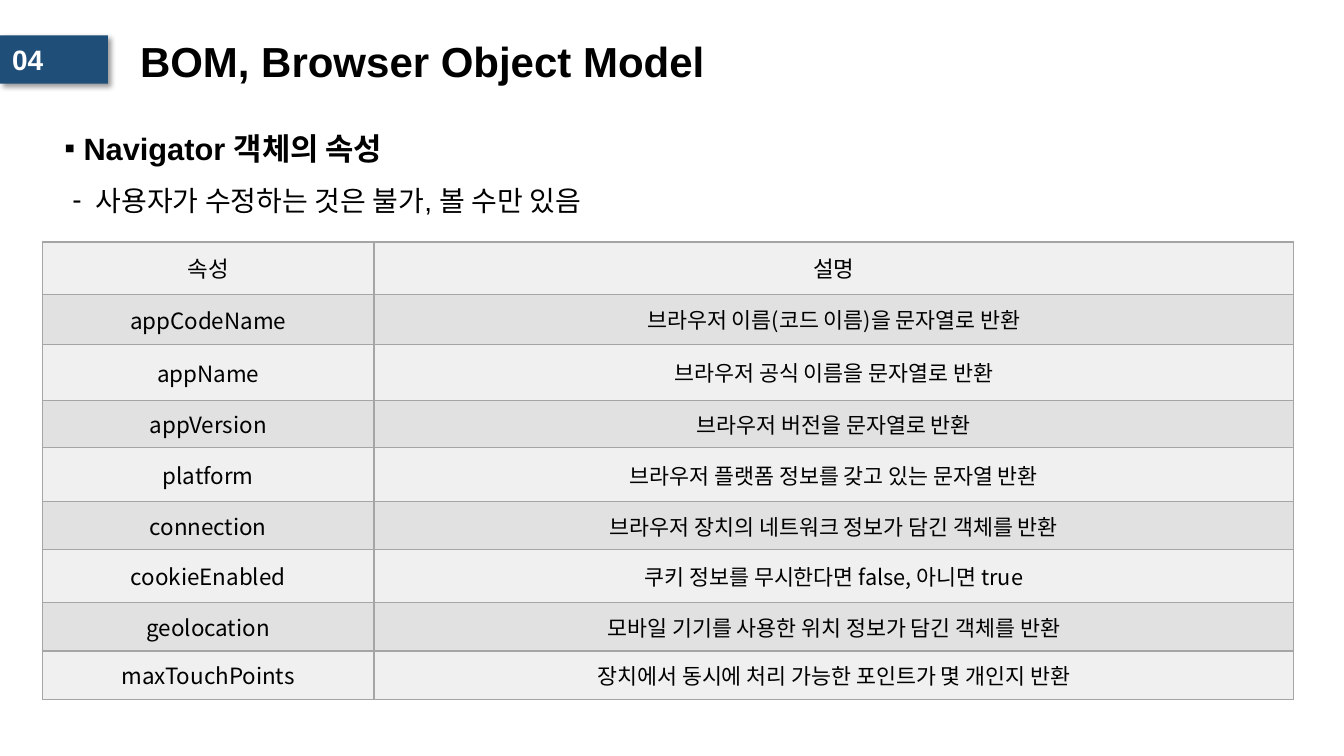
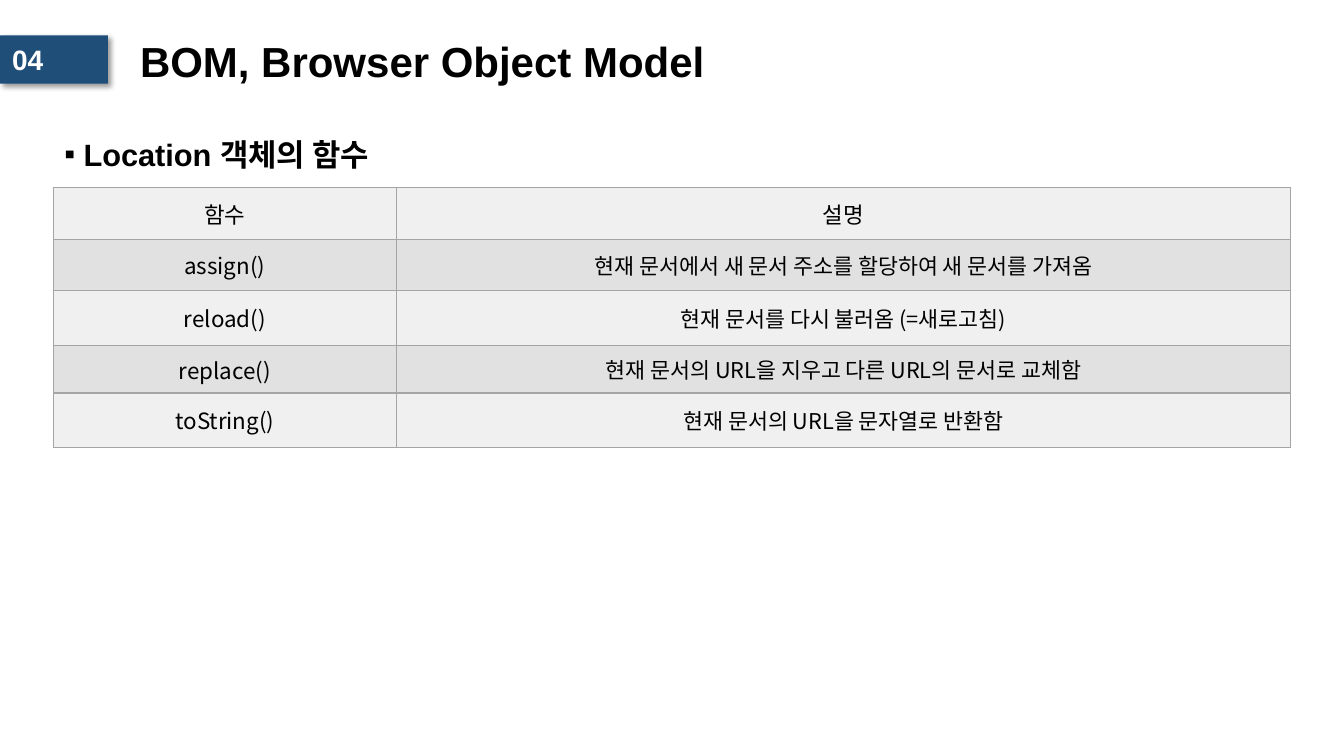
from dataclasses import dataclass

import lxml.etree
import pptx
import pptx.dml.color
import pptx.enum.shapes
import pptx.enum.text
import pptx.oxml
import pptx.oxml.ns
import pptx.util

Inches = pptx.util.Inches
Pt = pptx.util.Pt
qn = pptx.oxml.ns.qn
ALIGN = pptx.enum.text.PP_ALIGN
ANCHOR = pptx.enum.text.MSO_ANCHOR


@dataclass(frozen=True)
class Theme:
    latin_font: str = "Arial"
    korean_font: str = "Noto Sans CJK KR"
    ink: str = "000000"
    paper: str = "FFFFFF"
    badge: str = "1F4E79"
    border: str = "A5A5A5"
    row_fills: tuple = ("F0F0F0", "E1E1E1")
    title_size: float = 30
    heading_size: float = 22
    body_size: float = 20
    name_size: float = 16
    description_size: float = 15.5


CHAPTER_NUMBER = "04"
CHAPTER_TITLE = "BOM, Browser Object Model"
ROW_HEIGHTS = (0.52, 0.5, 0.55, 0.47, 0.54, 0.47, 0.53, 0.48, 0.48)

NAVIGATOR_PROPERTIES = [
    ("속성", "설명"),
    ("appCodeName", "브라우저 이름(코드 이름)을 문자열로 반환"),
    ("appName", "브라우저 공식 이름을 문자열로 반환"),
    ("appVersion", "브라우저 버전을 문자열로 반환"),
    ("platform", "브라우저 플랫폼 정보를 갖고 있는 문자열 반환"),
    ("connection", "브라우저 장치의 네트워크 정보가 담긴 객체를 반환"),
    ("cookieEnabled", "쿠키 정보를 무시한다면 false, 아니면 true"),
    ("geolocation", "모바일 기기를 사용한 위치 정보가 담긴 객체를 반환"),
    ("maxTouchPoints", "장치에서 동시에 처리 가능한 포인트가 몇 개인지 반환"),
]
LOCATION_METHODS = [
    ("함수", "설명"),
    ("assign()", "현재 문서에서 새 문서 주소를 할당하여 새 문서를 가져옴"),
    ("reload()", "현재 문서를 다시 불러옴 (=새로고침)"),
    ("replace()", "현재 문서의 URL을 지우고 다른 URL의 문서로 교체함"),
    ("toString()", "현재 문서의 URL을 문자열로 반환함"),
]


def rgb(value):
    return pptx.dml.color.RGBColor.from_string(value)


def add_element(parent, tag, **attributes):
    element = lxml.etree.SubElement(parent, qn(tag))
    for name, value in attributes.items():
        element.set(name, str(value))
    return element


class Deck:
    def __init__(self, theme):
        self.theme = theme
        self.presentation = pptx.Presentation()
        self.presentation.slide_width = Inches(13.33)
        self.presentation.slide_height = Inches(7.5)
        self.slide = None

    def add_slide(self):
        """Start a slide with the chapter title and number badge."""
        layout = self.presentation.slide_layouts[6]
        self.slide = self.presentation.slides.add_slide(layout)
        self.title(CHAPTER_TITLE)
        self.badge(CHAPTER_NUMBER)

    def run(self, paragraph, text, size, color=None, bold=False, font=None):
        run = paragraph.add_run()
        run.text = text
        run.font.size = Pt(size)
        run.font.bold = bold
        run.font.color.rgb = rgb(color or self.theme.ink)
        run.font.name = font or self.theme.latin_font
        add_element(run.font._element, "a:ea", typeface=self.theme.korean_font)

    def text_frame(self, left, top, width, height):
        box = self.slide.shapes.add_textbox(
            Inches(left), Inches(top), Inches(width), Inches(height))
        box.text_frame.word_wrap = True
        return box.text_frame

    def title(self, text):
        frame = self.text_frame(1.29, 0.29, 9.02, 0.69)
        frame.vertical_anchor = ANCHOR.MIDDLE
        paragraph = frame.paragraphs[0]
        paragraph.line_spacing = 0.9
        self.run(paragraph, text, self.theme.title_size, bold=True)

    def badge(self, number):
        shape = self.slide.shapes.add_shape(
            pptx.enum.shapes.MSO_SHAPE.RECTANGLE,
            Inches(0), Inches(0.35), Inches(1.07), Inches(0.48))
        shape.fill.solid()
        shape.fill.fore_color.rgb = rgb(self.theme.badge)
        shape.line.fill.background()
        self.drop_shadow(shape)
        frame = shape.text_frame
        frame.margin_left = Inches(0.12)
        frame.vertical_anchor = ANCHOR.MIDDLE
        paragraph = frame.paragraphs[0]
        paragraph.alignment = ALIGN.LEFT
        self.run(paragraph, number, self.theme.body_size, self.theme.paper, bold=True)

    def drop_shadow(self, shape):
        shape.shadow.inherit = False
        effects = shape._element.spPr.find(qn("a:effectLst"))
        shadow = add_element(effects, "a:outerShdw", blurRad=Pt(4), dist=Pt(3),
                             dir=45 * 60000, algn="tl", rotWithShape=0)
        color = add_element(shadow, "a:srgbClr", val=self.theme.ink)
        add_element(color, "a:alpha", val=40000)

    def heading(self, top, text, remark=None):
        """Write a bulleted heading with an optional dashed remark below it."""
        frame = self.text_frame(0.54, top, 12.14, 1.12 if remark else 0.61)
        paragraph = frame.paragraphs[0]
        paragraph.line_spacing = 1.5
        self.bullet(paragraph, "▪", 0.19, 0.19)
        self.run(paragraph, text, self.theme.heading_size, bold=True)
        if remark:
            paragraph = frame.add_paragraph()
            paragraph.line_spacing = 1.5
            self.bullet(paragraph, "-", 0.31, 0.23)
            self.run(paragraph, remark, self.theme.body_size)

    def bullet(self, paragraph, character, margin, hanging):
        properties = paragraph._p.get_or_add_pPr()
        properties.set("marL", str(Inches(margin)))
        properties.set("indent", str(-Inches(hanging)))
        add_element(properties, "a:buFont", typeface=self.theme.latin_font)
        add_element(properties, "a:buChar", char=character)

    def table(self, left, top, column_widths, rows):
        heights = ROW_HEIGHTS[:len(rows)]
        table = self.slide.shapes.add_table(
            len(rows), len(column_widths), Inches(left), Inches(top),
            Inches(sum(column_widths)), Inches(sum(heights))).table
        table.first_row = False
        table.horz_banding = False
        for column, width in zip(table.columns, column_widths):
            column.width = Inches(width)
        for row_index, (height, texts) in enumerate(zip(heights, rows)):
            table.rows[row_index].height = Inches(height)
            for column_index, text in enumerate(texts):
                is_description = row_index > 0 and column_index == 1
                size = (self.theme.description_size if is_description
                        else self.theme.name_size)
                self.cell(table.cell(row_index, column_index), text, size,
                          self.theme.row_fills[row_index % 2])

    def cell(self, cell, text, size, fill):
        cell.fill.solid()
        cell.fill.fore_color.rgb = rgb(fill)
        cell.vertical_anchor = ANCHOR.MIDDLE
        self.cell_borders(cell)
        paragraph = cell.text_frame.paragraphs[0]
        paragraph.alignment = ALIGN.CENTER
        self.run(paragraph, text, size, font=self.theme.korean_font)

    def cell_borders(self, cell):
        properties = cell._tc.get_or_add_tcPr()
        for index, side in enumerate(("a:lnL", "a:lnR", "a:lnT", "a:lnB")):
            line = add_element(properties, side, w=Pt(1))
            line_fill = add_element(line, "a:solidFill")
            add_element(line_fill, "a:srgbClr", val=self.theme.border)
            properties.insert(index, line)


def main():
    deck = Deck(Theme())

    deck.add_slide()
    deck.heading(1.05, "Navigator 객체의 속성",
                 "사용자가 수정하는 것은 불가, 볼 수만 있음")
    deck.table(0.42, 2.4, (3.29, 9.12), NAVIGATOR_PROPERTIES)

    deck.add_slide()
    deck.heading(1.11, "Location 객체의 함수")
    deck.table(0.53, 1.86, (3.4, 8.87), LOCATION_METHODS)

    deck.presentation.save("out.pptx")


if __name__ == "__main__":
    main()
